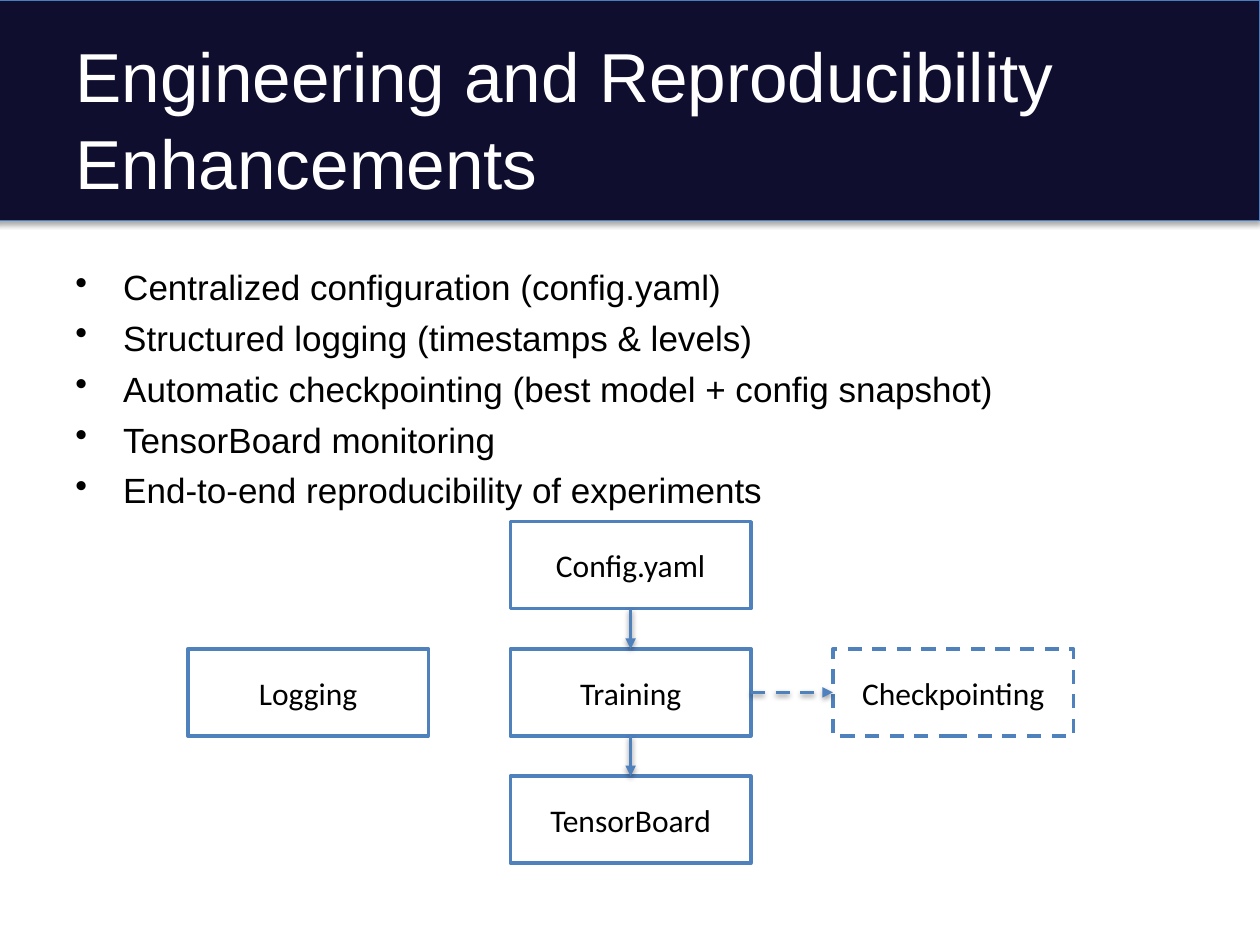
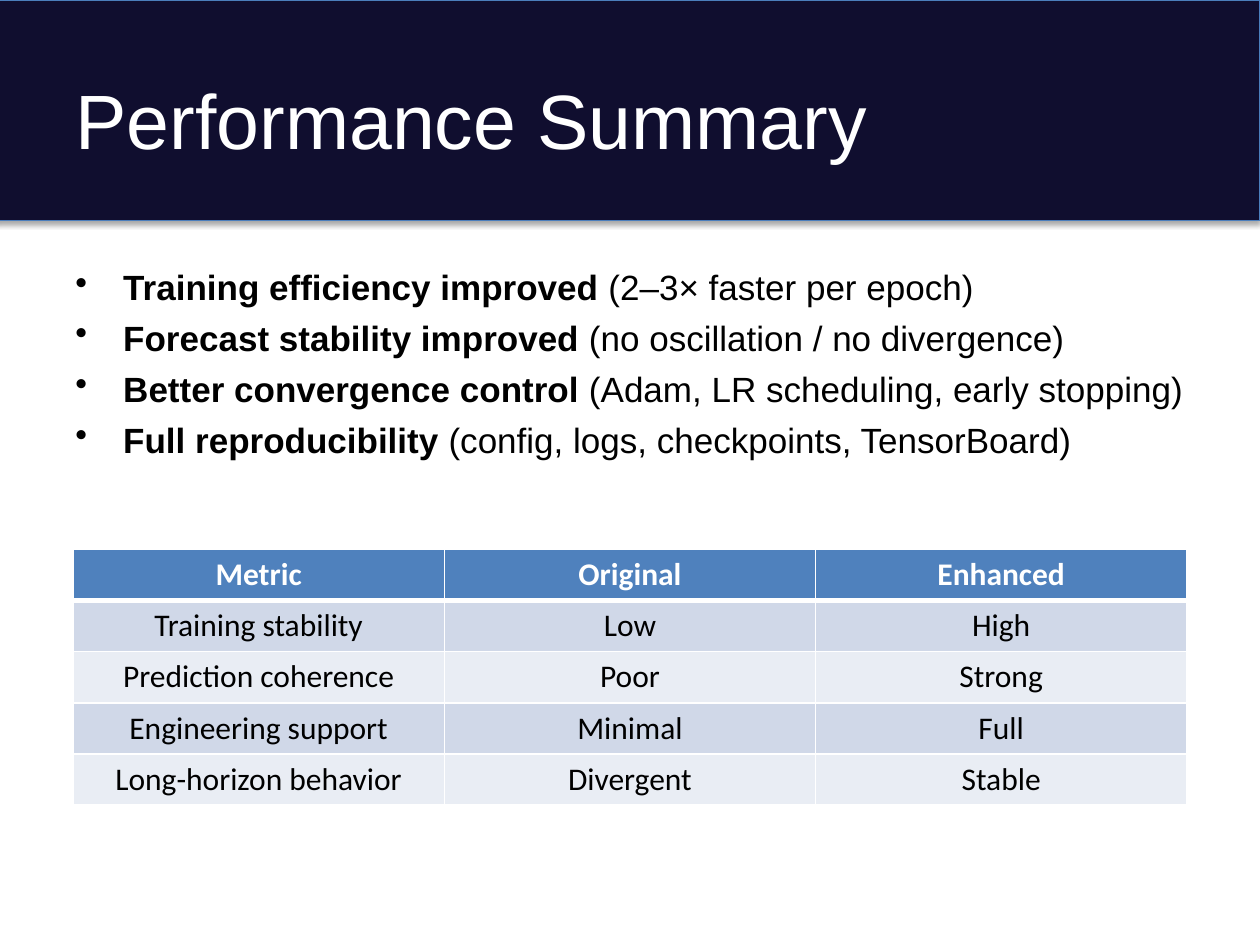
from lxml.etree import SubElement
from pptx import Presentation
from pptx.dml.color import RGBColor
from pptx.enum.dml import MSO_LINE
from pptx.enum.shapes import MSO_CONNECTOR, MSO_SHAPE
from pptx.enum.text import MSO_ANCHOR, MSO_AUTO_SIZE, PP_ALIGN
from pptx.oxml.ns import qn
from pptx.util import Inches, Pt

WHITE, BLACK = "FFFFFF", "000000"
NAVY, BAND_EDGE, BLUE = "100E2F", "4B7EBC", "4F81BD"
ROW_FILLS = ["D0D8E8", "E9EDF4"]
BOTTOM, RIGHT, TOP, LEFT = 2, 3, 0, 1


def color(code):
    return RGBColor.from_string(code)


def add_xml(parent, tag, **attributes):
    return SubElement(parent, qn(tag), attributes)


class SlideWriter:
    """Hold the shared style and write elements on the current slide."""

    def __init__(self, deck):
        self.deck = deck
        self.page = None

    def new_page(self, title, size):
        self.page = self.deck.slides.add_slide(self.deck.slide_layouts[5])
        self.band()
        box = self.page.shapes.title
        box.left, box.top = Inches(0.5), Inches(0.3)
        box.width, box.height = Inches(9), Inches(1.25)
        frame = box.text_frame
        frame.text = title
        frame.auto_size = MSO_AUTO_SIZE.NONE
        frame.vertical_anchor = MSO_ANCHOR.MIDDLE
        para = frame.paragraphs[0]
        para.line_spacing = 1.05
        self.style(para, size, WHITE, "Arial", PP_ALIGN.LEFT)

    def style(self, para, size, code, name="Calibri", align=PP_ALIGN.CENTER):
        para.alignment = align
        para.font.size = Pt(size)
        para.font.name = name
        para.font.color.rgb = color(code)

    def outline(self, line, code, width, dashed=False):
        line.color.rgb = color(code)
        line.width = Pt(width)
        if dashed:
            line.dash_style = MSO_LINE.DASH

    def shadow(self, shape, distance, opacity):
        effects = add_xml(shape._element.spPr, "a:effectLst")
        outer = add_xml(effects, "a:outerShdw", blurRad=str(Pt(3.1)), dist=str(Pt(distance)),
                        dir="5400000", rotWithShape="0")
        black = add_xml(outer, "a:srgbClr", val=BLACK)
        add_xml(black, "a:alpha", val=str(opacity * 1000))

    def band(self):
        band = self.page.shapes.add_shape(
            MSO_SHAPE.RECTANGLE, Inches(-0.04), 0, Inches(10.04), Inches(1.75))
        band.fill.solid()
        band.fill.fore_color.rgb = color(NAVY)
        self.outline(band.line, BAND_EDGE, 0.75)
        self.shadow(band, 1.8, 35)
        self.page.shapes._spTree.insert(2, band._element)

    def bullets(self, items, height):
        box = self.page.shapes.add_textbox(Inches(0.5), Inches(2.06), Inches(9), Inches(height))
        frame = box.text_frame
        frame.word_wrap = True
        for index, (strong, plain) in enumerate(items):
            para = frame.add_paragraph() if index else frame.paragraphs[0]
            self.style(para, 20, BLACK, "Arial", PP_ALIGN.LEFT)
            para.space_before = Pt(5)
            properties = para._p.get_or_add_pPr()
            properties.set("marL", str(Inches(0.38)))
            properties.set("indent", str(Inches(-0.38)))
            bullet = add_xml(properties, "a:buChar", char="•")
            properties.find(qn("a:defRPr")).addprevious(bullet)
            for text, bold in ((strong, True), (plain, False)):
                if text:
                    span = para.add_run()
                    span.text = text
                    span.font.bold = bold

    def node(self, text, column, row, dashed=False):
        box = self.page.shapes.add_shape(
            MSO_SHAPE.RECTANGLE, Inches(1.49 + 2.56 * column), Inches(4.14 + 1.01 * row),
            Inches(1.91), Inches(0.69))
        box.shadow.inherit = False
        box.fill.solid()
        box.fill.fore_color.rgb = color(WHITE)
        self.outline(box.line, BLUE, 2, dashed)
        frame = box.text_frame
        frame.text = text
        frame.vertical_anchor = MSO_ANCHOR.MIDDLE
        self.style(frame.paragraphs[0], 18, BLACK)
        return box

    def arrow(self, source, source_side, target, target_side, dashed=False):
        arrow = self.page.shapes.add_connector(MSO_CONNECTOR.STRAIGHT, 0, 0, 0, 0)
        arrow.begin_connect(source, source_side)
        arrow.end_connect(target, target_side)
        self.outline(arrow.line, BLUE, 2, dashed)
        add_xml(arrow.line._get_or_add_ln(), "a:tailEnd", type="triangle")
        self.shadow(arrow, 1.6, 38)

    def cell(self, cell, text, fill, code, bold, bottom):
        cell.text = text
        para = cell.text_frame.paragraphs[0]
        self.style(para, 18, code)
        para.font.bold = bold
        properties = cell._tc.get_or_add_tcPr()
        for side, width in (("L", 1), ("R", 1), ("T", 1), ("B", bottom)):
            line = add_xml(properties, f"a:ln{side}", w=str(Pt(width)))
            add_xml(add_xml(line, "a:solidFill"), "a:srgbClr", val=WHITE)
        cell.fill.solid()
        cell.fill.fore_color.rgb = color(fill)

    def table(self, rows):
        table = self.page.shapes.add_table(
            len(rows), len(rows[0]), Inches(0.58), Inches(4.36), Inches(8.84), Inches(2.03)).table
        for r, values in enumerate(rows):
            for c, text in enumerate(values):
                if r == 0:
                    self.cell(table.cell(r, c), text, BLUE, WHITE, True, 3)
                else:
                    self.cell(table.cell(r, c), text, ROW_FILLS[(r - 1) % 2], BLACK, False, 1)


def engineering_page(writer):
    writer.new_page("Engineering and Reproducibility Enhancements", 39.6)
    writer.bullets([
        ("", "Centralized configuration (config.yaml)"),
        ("", "Structured logging (timestamps & levels)"),
        ("", "Automatic checkpointing (best model + config snapshot)"),
        ("", "TensorBoard monitoring"),
        ("", "End-to-end reproducibility of experiments"),
    ], 2.08)
    config = writer.node("Config.yaml", 1, 0)
    training = writer.node("Training", 1, 1)
    monitor = writer.node("TensorBoard", 1, 2)
    writer.node("Logging", 0, 1)
    checkpoint = writer.node("Checkpointing", 2, 1, dashed=True)
    writer.arrow(config, BOTTOM, training, TOP)
    writer.arrow(training, BOTTOM, monitor, TOP)
    writer.arrow(training, RIGHT, checkpoint, LEFT, dashed=True)


def performance_page(writer):
    writer.new_page("Performance Summary", 44)
    writer.bullets([
        ("Training efficiency improved", " (2–3× faster per epoch)"),
        ("Forecast stability improved", " (no oscillation / no divergence)"),
        ("Better convergence control", " (Adam, LR scheduling, early stopping)"),
        ("Full reproducibility", " (config, logs, checkpoints, TensorBoard)"),
    ], 1.78)
    writer.table([
        ("Metric", "Original", "Enhanced"),
        ("Training stability", "Low", "High"),
        ("Prediction coherence", "Poor", "Strong"),
        ("Engineering support", "Minimal", "Full"),
        ("Long-horizon behavior", "Divergent", "Stable"),
    ])


def main():
    deck = Presentation()
    deck.slide_width, deck.slide_height = Inches(10), Inches(7.5)
    writer = SlideWriter(deck)
    engineering_page(writer)
    performance_page(writer)
    deck.save("out.pptx")


if __name__ == "__main__":
    main()
